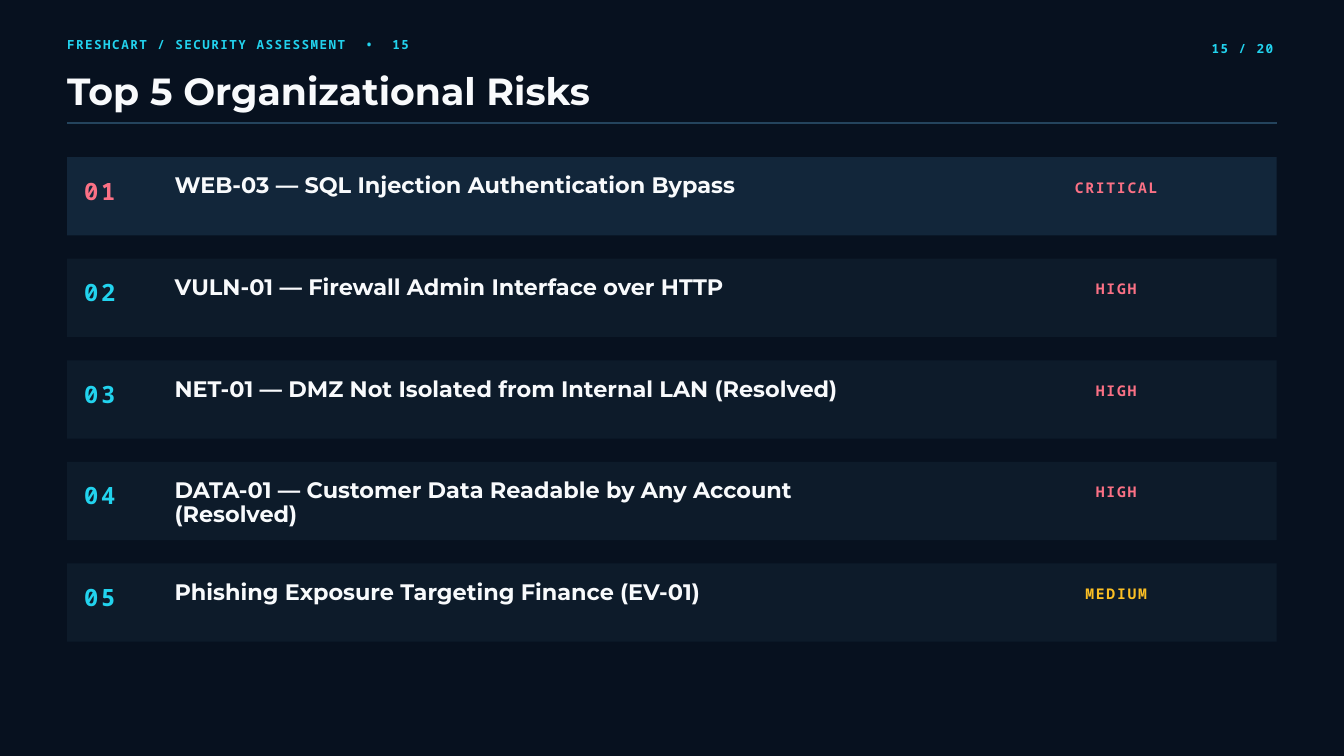
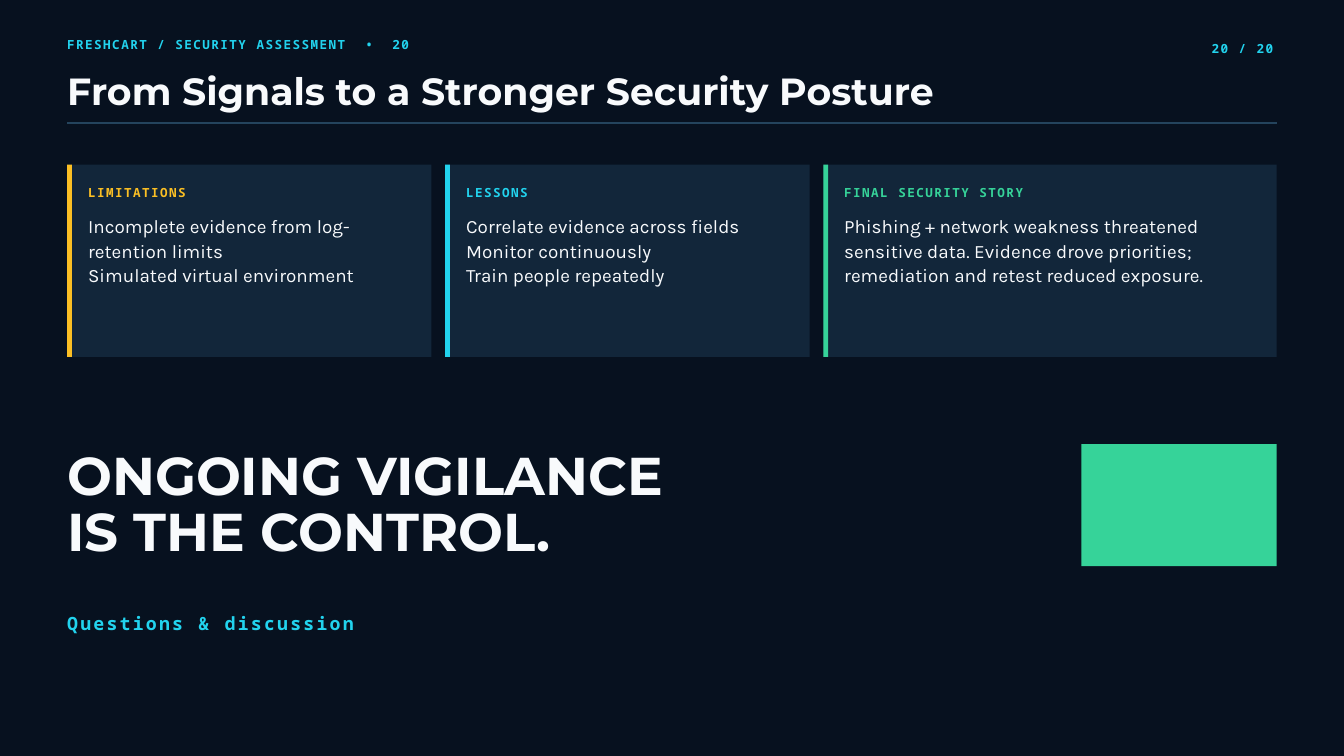
import pptx
import pptx.dml.color
import pptx.enum.shapes
import pptx.enum.text
import pptx.oxml.ns
import pptx.util
import lxml.etree
from pptx.util import Cm

NAVY, ROW, PANEL, RULE = "07111F", "0D1B2A", "12263A", "24445D"
WHITE, CYAN, ROSE, AMBER, GREEN = "F8FAFC", "22D3EE", "FB7185", "FBBF24", "36D399"
HEADING, BODY, MONO = "Montserrat", "Karla", "Noto Sans Mono"
LEADING = {HEADING: 1.05, BODY: 1.3, MONO: 1.4}
TRACKING = {HEADING: 0, BODY: 0, MONO: 0.12}
WIDE_TRACKING = 0.84
MARGIN, CONTENT_WIDTH = 2.54, 45.72
LEFT = pptx.enum.text.PP_ALIGN.LEFT
CENTER = pptx.enum.text.PP_ALIGN.CENTER
RIGHT = pptx.enum.text.PP_ALIGN.RIGHT
TOTAL_PAGES = 20

RISKS = [
    ("WEB-03 — SQL Injection Authentication Bypass", "CRITICAL"),
    ("VULN-01 — Firewall Admin Interface over HTTP", "HIGH"),
    ("NET-01 — DMZ Not Isolated from Internal LAN (Resolved)", "HIGH"),
    ("DATA-01 — Customer Data Readable by Any Account (Resolved)", "HIGH"),
    ("Phishing Exposure Targeting Finance (EV-01)", "MEDIUM"),
]
SEVERITY_COLORS = {"CRITICAL": ROSE, "HIGH": ROSE, "MEDIUM": AMBER}

CARDS = [
    ("LIMITATIONS", AMBER, 13.77,
     ["Incomplete evidence from log-retention limits", "Simulated virtual environment"]),
    ("LESSONS", CYAN, 13.77,
     ["Correlate evidence across fields", "Monitor continuously", "Train people repeatedly"]),
    ("FINAL SECURITY STORY", GREEN, 17.14,
     ["Phishing + network weakness threatened sensitive data. Evidence drove priorities; "
      "remediation and retest reduced exposure."]),
]


def rgb(color):
    return pptx.dml.color.RGBColor.from_string(color)


def add_run(paragraph, text, size, font, color, tracking=None):
    run = paragraph.add_run()
    run.text = text
    run.font.size = pptx.util.Pt(size)
    run.font.name = font
    run.font.bold = font != BODY
    run.font.color.rgb = rgb(color)
    spacing = TRACKING[font] if tracking is None else tracking
    if spacing:
        run.font._element.set("spc", str(round(size * spacing * 100)))


def format_frame(frame):
    frame.word_wrap = True
    frame.margin_left = frame.margin_top = frame.margin_right = frame.margin_bottom = 0
    frame.vertical_anchor = pptx.enum.text.MSO_ANCHOR.TOP
    frame.auto_size = pptx.enum.text.MSO_AUTO_SIZE.NONE


def format_paragraph(paragraph, size, font, align=LEFT):
    paragraph.alignment = align
    paragraph.line_spacing = pptx.util.Pt(round(size * LEADING[font], 1))


def add_text(shapes, box, lines, size, font, color, align=LEFT):
    frame = shapes.add_textbox(*map(Cm, box)).text_frame
    format_frame(frame)
    for index, line in enumerate(lines):
        paragraph = frame.add_paragraph() if index else frame.paragraphs[0]
        format_paragraph(paragraph, size, font, align)
        if line:
            add_run(paragraph, line, size, font, color)
    return frame


def add_panel(shapes, box, color):
    panel = shapes.add_shape(pptx.enum.shapes.MSO_SHAPE.RECTANGLE, *map(Cm, box))
    panel.shadow.inherit = False
    panel.fill.solid()
    panel.fill.fore_color.rgb = rgb(color)
    panel.line.fill.background()


def add_rule(shapes, left, top, width):
    rule = shapes.add_connector(pptx.enum.shapes.MSO_CONNECTOR.STRAIGHT,
                                Cm(left), Cm(top), Cm(left + width), Cm(top))
    rule.line.color.rgb = rgb(RULE)
    rule.line.width = pptx.util.Pt(1.5)
    lxml.etree.SubElement(rule._element.spPr, pptx.oxml.ns.qn("a:effectLst"))


def add_breadcrumb(shapes, page):
    frame = add_text(shapes, (MARGIN, 1.3, 23.83, 0.64), [""], 13.5, MONO, CYAN)
    pieces = [("FRESHCART / SECURITY ASSESSMENT", None), (" ", WIDE_TRACKING),
              ("•", None), (" ", WIDE_TRACKING), (str(page), None)]
    for text, tracking in pieces:
        add_run(frame.paragraphs[0], text, 13.5, MONO, CYAN, tracking)


def add_content_slide(presentation, title, page):
    slide = presentation.slides.add_slide(presentation.slide_layouts[5])
    add_breadcrumb(slide.shapes, page)
    frame = slide.shapes.title.text_frame
    format_frame(frame)
    format_paragraph(frame.paragraphs[0], 40.5, HEADING)
    add_run(frame.paragraphs[0], title, 40.5, HEADING, WHITE)
    add_text(slide.shapes, (44.7, 1.45, 3.43, 0.64), [f"{page} / {TOTAL_PAGES}"],
             13.5, MONO, CYAN, RIGHT)
    add_rule(slide.shapes, MARGIN, 4.65, CONTENT_WIDTH)
    return slide


def add_risk_row(slide, number, top, name, severity):
    shapes = slide.shapes.add_group_shape().shapes
    is_first = number == 1
    add_panel(shapes, (MARGIN, top, CONTENT_WIDTH, 2.96), PANEL if is_first else ROW)
    add_text(shapes, (3.18, top + 0.55, 2.64, 1.14), [f"{number:02}"],
             25.5, MONO, ROSE if is_first else CYAN)
    add_text(shapes, (6.6, top + 0.67, 27.79, 0.91), [name], 24, HEADING, WHITE)
    add_text(shapes, (38.89, top + 0.7, 6.6, 0.71), [severity],
             15.75, MONO, SEVERITY_COLORS[severity], CENTER)


def add_card(slide, left, label, color, width, lines):
    shapes = slide.shapes.add_group_shape().shapes
    top, inset = 6.22, 0.79
    add_panel(shapes, (left, top, width, 7.27), PANEL)
    add_panel(shapes, (left, top, 0.18, 7.27), color)
    text_width = width - 2 * inset
    add_text(shapes, (left + inset, top + 0.69, text_width, 0.64), [label], 13.5, MONO, color)
    add_text(shapes, (left + inset, top + 1.83, text_width, 2.77), lines, 20.25, BODY, WHITE)


def build_risks(presentation):
    slide = add_content_slide(presentation, "Top 5 Organizational Risks", 15)
    for index, (name, severity) in enumerate(RISKS):
        add_risk_row(slide, index + 1, 5.94 + 3.84 * index, name, severity)


def build_closing(presentation):
    slide = add_content_slide(presentation, "From Signals to a Stronger Security Posture", 20)
    gap = (CONTENT_WIDTH - sum(card[2] for card in CARDS)) / (len(CARDS) - 1)
    left = MARGIN
    for label, color, width, lines in CARDS:
        add_card(slide, left, label, color, width, lines)
        left += width + gap
    add_text(slide.shapes, (MARGIN, 17.04, 37.03, 4.24),
             ["ONGOING VIGILANCE", "IS THE CONTROL."], 57, HEADING, WHITE)
    add_text(slide.shapes, (MARGIN, 23.01, 18.52, 0.91), ["Questions & discussion"],
             19.5, MONO, CYAN)
    add_panel(slide.shapes, (40.87, 16.79, 7.39, 4.61), GREEN)


def set_up_template(presentation):
    presentation.slide_width, presentation.slide_height = Cm(50.8), Cm(28.58)
    background = presentation.slide_master.background.fill
    background.solid()
    background.fore_color.rgb = rgb(NAVY)
    title = presentation.slide_layouts[5].placeholders[0]
    title.left, title.top, title.width, title.height = map(Cm, (MARGIN, 2.77, 39.67, 1.5))


def main():
    presentation = pptx.Presentation()
    set_up_template(presentation)
    build_risks(presentation)
    build_closing(presentation)
    presentation.save("out.pptx")


if __name__ == "__main__":
    main()
